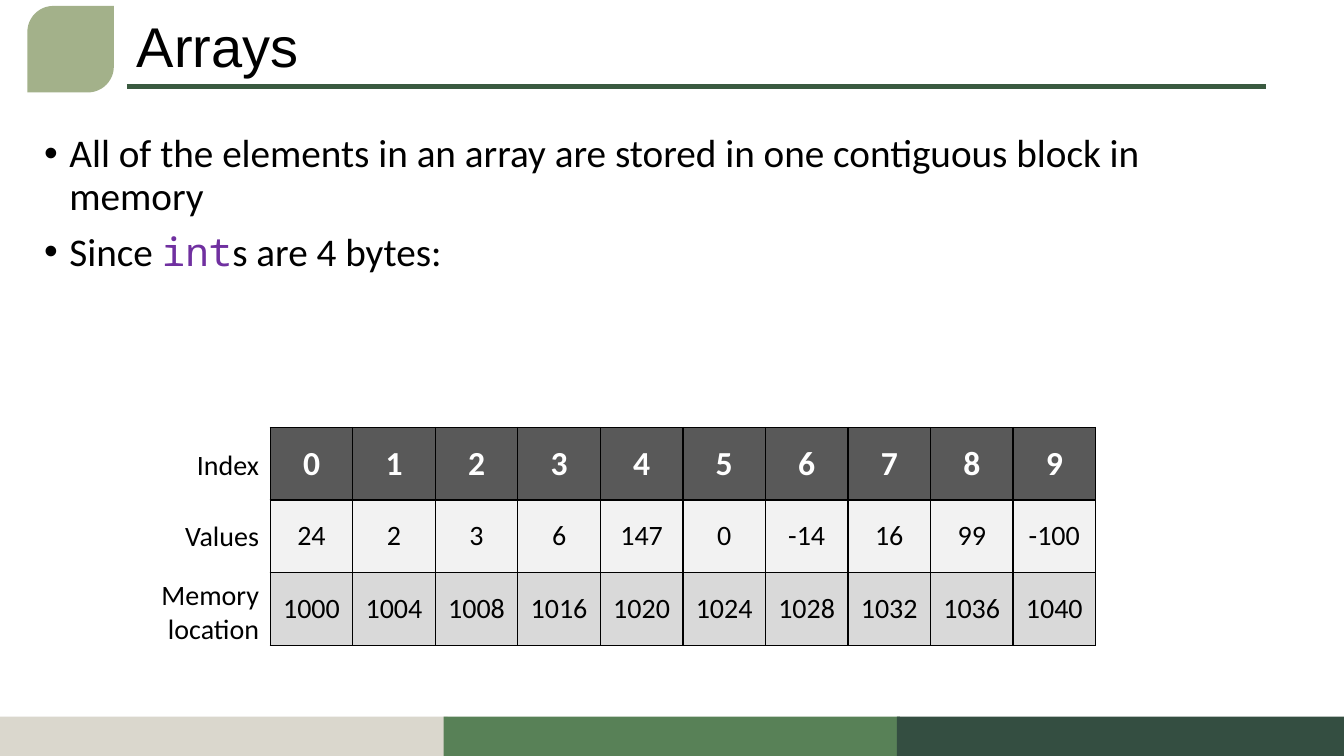
from lxml.etree import SubElement
from pptx import Presentation
from pptx.dml.color import RGBColor
from pptx.enum.shapes import MSO_CONNECTOR, MSO_SHAPE
from pptx.enum.text import MSO_ANCHOR, PP_ALIGN
from pptx.oxml.ns import qn
from pptx.util import Cm, Pt


def color(hex_code):
    return RGBColor.from_string(hex_code)


def style(font, size, hex_code="000000", name="Calibri", bold=False):
    font.size, font.name, font.bold = Pt(size), name, bold
    font.color.rgb = color(hex_code)


deck = Presentation()
deck.slide_width, deck.slide_height = Cm(33.87), Cm(19.05)
slide = deck.slides.add_slide(deck.slide_layouts[6])
shapes = slide.shapes

# Title with its rule
title_rule = shapes.add_connector(MSO_CONNECTOR.STRAIGHT, Cm(3.2), Cm(2.18), Cm(31.9), Cm(2.18))
title_rule.line.color.rgb = color("3A5A40")
title_rule.line.width = Pt(3)
SubElement(title_rule._element.spPr, qn("a:effectLst"))

title = shapes.add_textbox(Cm(3.2), Cm(0.33), Cm(30.66), Cm(1.83)).text_frame
title.word_wrap = True
title.vertical_anchor = MSO_ANCHOR.MIDDLE
title.text = "Arrays"
title.paragraphs[0].line_spacing = 0.9
style(title.paragraphs[0].runs[0].font, 40, name="Arial")

# Corner leaf and footer bands
decorations = [
    (MSO_SHAPE.ROUND_2_DIAG_RECTANGLE, 0.69, 0.15, 2.18, 2.18, "A3B18A"),
    (MSO_SHAPE.RECTANGLE, 0, 18.06, 11.28, 0.99, "DAD7CD"),
    (MSO_SHAPE.RECTANGLE, 11.18, 18.06, 11.5, 0.99, "588157"),
    (MSO_SHAPE.RECTANGLE, 22.6, 18.06, 11.27, 0.99, "344E41"),
]
for preset, left, top, width, height, fill in decorations:
    decoration = shapes.add_shape(preset, Cm(left), Cm(top), Cm(width), Cm(height))
    decoration.shadow.inherit = False
    decoration.fill.solid()
    decoration.fill.fore_color.rgb = color(fill)
    decoration.line.fill.background()
    if preset == MSO_SHAPE.ROUND_2_DIAG_RECTANGLE:
        decoration.adjustments[0] = 0.3

# Bulleted explanation
explanation = shapes.add_textbox(Cm(0.86), Cm(3.25), Cm(30.89), Cm(4.65)).text_frame
explanation.word_wrap = True
points = [
    ["All of the elements in an array are stored in one contiguous block in memory"],
    ["Since ", "int", "s are 4 bytes:"],
]
for number, pieces in enumerate(points):
    point = explanation.add_paragraph() if number else explanation.paragraphs[0]
    properties = point._p.get_or_add_pPr()
    properties.set("marL", str(Cm(0.64)))
    properties.set("indent", str(-Cm(0.64)))
    SubElement(properties, qn("a:buFont")).set("typeface", "Arial")
    SubElement(properties, qn("a:buChar")).set("char", "•")
    point.line_spacing = 0.9
    if number:
        point.space_before = Pt(10)
    for piece in pieces:
        run = point.add_run()
        run.text = piece
        if piece == "int":
            style(run.font, 28, "7030A0", "Noto Sans Mono")
        else:
            style(run.font, 28)

# Array strips: label, label top and height, entries, fill, text size, colour, bold
strips = [
    ("Index", 11.15, 1.12, range(10), "595959", 24, "FFFFFF", True),
    ("Values", 12.95, 1.12, [24, 2, 3, 6, 147, 0, -14, 16, 99, -100],
     "F2F2F2", 20, "000000", False),
    ("Memory location", 14.43, 1.96,
     [1000, 1004, 1008, 1016, 1020, 1024, 1028, 1032, 1036, 1040],
     "D9D9D9", 20, "000000", False),
]
cell_width, strip_height = 2.08, 1.83
for row, (name, label_top, label_height, entries, fill, size, ink, bold) in enumerate(strips):
    label = shapes.add_textbox(Cm(3.76), Cm(label_top), Cm(3.02), Cm(label_height)).text_frame
    label.word_wrap = True
    label.text = name
    label.paragraphs[0].alignment = PP_ALIGN.RIGHT
    style(label.paragraphs[0].runs[0].font, 20)

    strip = shapes.add_table(1, len(entries), Cm(6.81), Cm(10.77 + row * strip_height),
                             Cm(cell_width * len(entries)), Cm(strip_height)).table
    for column, entry in enumerate(entries):
        strip.columns[column].width = Cm(cell_width)
        cell = strip.cell(0, column)
        cell.text = str(entry)
        cell.vertical_anchor = MSO_ANCHOR.MIDDLE
        cell.text_frame.paragraphs[0].alignment = PP_ALIGN.CENTER
        style(cell.text_frame.paragraphs[0].runs[0].font, size, ink, bold=bold)
        for side in ("a:lnL", "a:lnR", "a:lnT", "a:lnB"):
            border = SubElement(cell._tc.get_or_add_tcPr(), qn(side), w=str(Pt(1)))
            SubElement(SubElement(border, qn("a:solidFill")), qn("a:srgbClr"), val="000000")
        cell.fill.solid()
        cell.fill.fore_color.rgb = color(fill)

deck.save("out.pptx")
